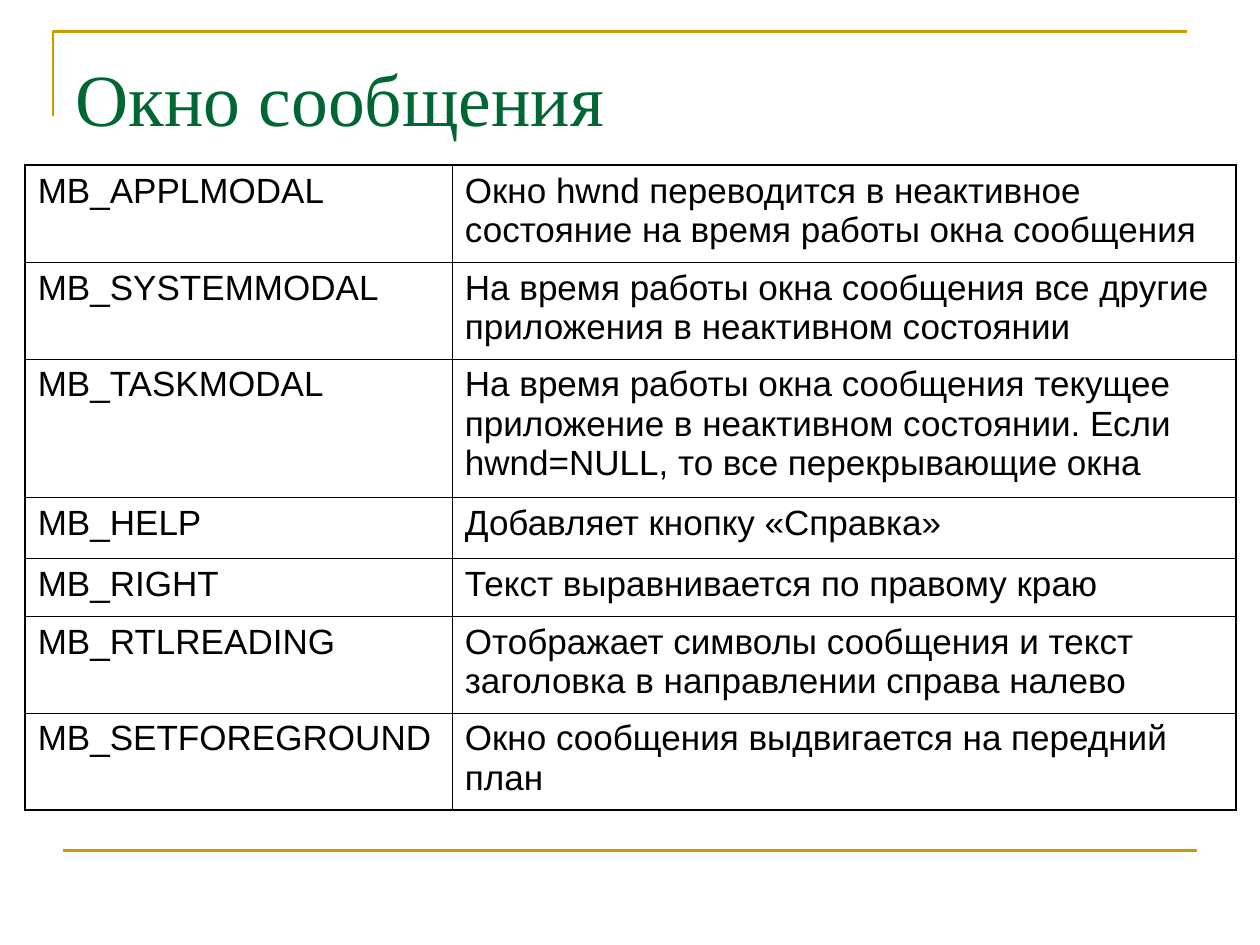
from lxml.etree import SubElement
from pptx import Presentation
from pptx.dml.color import RGBColor
from pptx.enum.shapes import MSO_CONNECTOR
from pptx.enum.text import MSO_ANCHOR, PP_ALIGN
from pptx.oxml.ns import qn
from pptx.util import Inches, Pt

GOLD, GREEN, BLACK = "CC9900", "006633", "000000"
THICK, THIN = 1.08, 0.45

FLAGS = [
    ("MB_APPLMODAL", "Окно hwnd переводится в неактивное состояние на время работы окна сообщения", 0.77),
    ("MB_SYSTEMMODAL", "На время работы окна сообщения все другие приложения в неактивном состоянии", 0.77),
    ("MB_TASKMODAL", "На время работы окна сообщения текущее приложение в неактивном состоянии. "
                     "Если hwnd=NULL, то все перекрывающие окна", 1.1),
    ("MB_HELP", "Добавляет кнопку «Справка»", 0.48),
    ("MB_RIGHT", "Текст выравнивается по правому краю", 0.46),
    ("MB_RTLREADING", "Отображает символы сообщения и текст заголовка в направлении справа налево", 0.77),
    ("MB_SETFOREGROUND", "Окно сообщения выдвигается на передний план", 0.77),
]
COLUMN_WIDTHS = [3.39, 6.22]


def color(value):
    return RGBColor.from_string(value)


class SlideBuilder:
    title_font, body_font = "Times New Roman", "Arial"
    title_size, body_size = 42, 20
    rule_width = 1.5

    def __init__(self, slide):
        self.slide = slide

    def add_run(self, paragraph, text, font, size, tint):
        run = paragraph.add_run()
        run.text = text
        run.font.name = font
        run.font.size = Pt(size)
        run.font.bold = False
        run.font.color.rgb = color(tint)

    def style_line(self, line):
        line.color.rgb = color(GOLD)
        line.width = Pt(self.rule_width)

    def corner(self, points):
        start, *others = [(Inches(x), Inches(y)) for x, y in points]
        builder = self.slide.shapes.build_freeform(*start)
        builder.add_line_segments(others, close=False)
        shape = builder.convert_to_shape()
        shape.fill.background()
        shape.shadow.inherit = False
        self.style_line(shape.line)

    def rule(self, x1, y1, x2, y2):
        connector = self.slide.shapes.add_connector(
            MSO_CONNECTOR.STRAIGHT, Inches(x1), Inches(y1), Inches(x2), Inches(y2))
        self.style_line(connector.line)
        SubElement(connector._element.spPr, qn("a:effectLst"))

    def title(self, text, left, top, width, height):
        shape = self.slide.shapes.title
        shape.left, shape.top = Inches(left), Inches(top)
        shape.width, shape.height = Inches(width), Inches(height)
        frame = shape.text_frame
        frame.word_wrap = True
        frame.vertical_anchor = MSO_ANCHOR.TOP
        frame.margin_top = Inches(0.12)
        paragraph = frame.paragraphs[0]
        paragraph.alignment = PP_ALIGN.LEFT
        self.add_run(paragraph, text, self.title_font, self.title_size, GREEN)

    def cell(self, cell, text, borders):
        cell.margin_left = cell.margin_right = Inches(0.1)
        cell.margin_top = cell.margin_bottom = Inches(0.05)
        paragraph = cell.text_frame.paragraphs[0]
        paragraph.space_before = Pt(5)
        self.add_run(paragraph, text, self.body_font, self.body_size, BLACK)
        # Borders come before the fill in the cell properties
        properties = cell._tc.get_or_add_tcPr()
        for side, width in borders.items():
            line = SubElement(properties, qn(f"a:ln{side}"), w=str(Pt(width)))
            fill = SubElement(line, qn("a:solidFill"))
            SubElement(fill, qn("a:srgbClr"), val=BLACK)
        cell.fill.background()

    def table(self, left, top, widths, rows):
        heights = [height for *_, height in rows]
        table = self.slide.shapes.add_table(
            len(rows), len(widths), Inches(left), Inches(top),
            Inches(sum(widths)), Inches(sum(heights))).table
        table.first_row = table.horz_banding = False
        for column, width in zip(table.columns, widths):
            column.width = Inches(width)
        last_row, last_column = len(rows) - 1, len(widths) - 1
        for r, (*texts, height) in enumerate(rows):
            table.rows[r].height = Inches(height)
            for c, text in enumerate(texts):
                outer = {"L": c == 0, "R": c == last_column, "T": r == 0, "B": r == last_row}
                borders = {side: THICK if edge else THIN for side, edge in outer.items()}
                self.cell(table.cell(r, c), text, borders)


def main():
    presentation = Presentation()
    presentation.slide_width, presentation.slide_height = Inches(10), Inches(7.5)
    builder = SlideBuilder(presentation.slides.add_slide(presentation.slide_layouts[5]))

    # Gold frame lines
    builder.corner([(0.42, 0.92), (0.42, 0.25), (9.42, 0.25)])
    builder.rule(0.5, 6.75, 9.5, 6.75)

    # Title and table of message box flags
    builder.title("Окно сообщения", 0.5, 0.3, 9, 1.25)
    builder.table(0.2, 1.31, COLUMN_WIDTHS, FLAGS)

    presentation.save("out.pptx")


if __name__ == "__main__":
    main()
